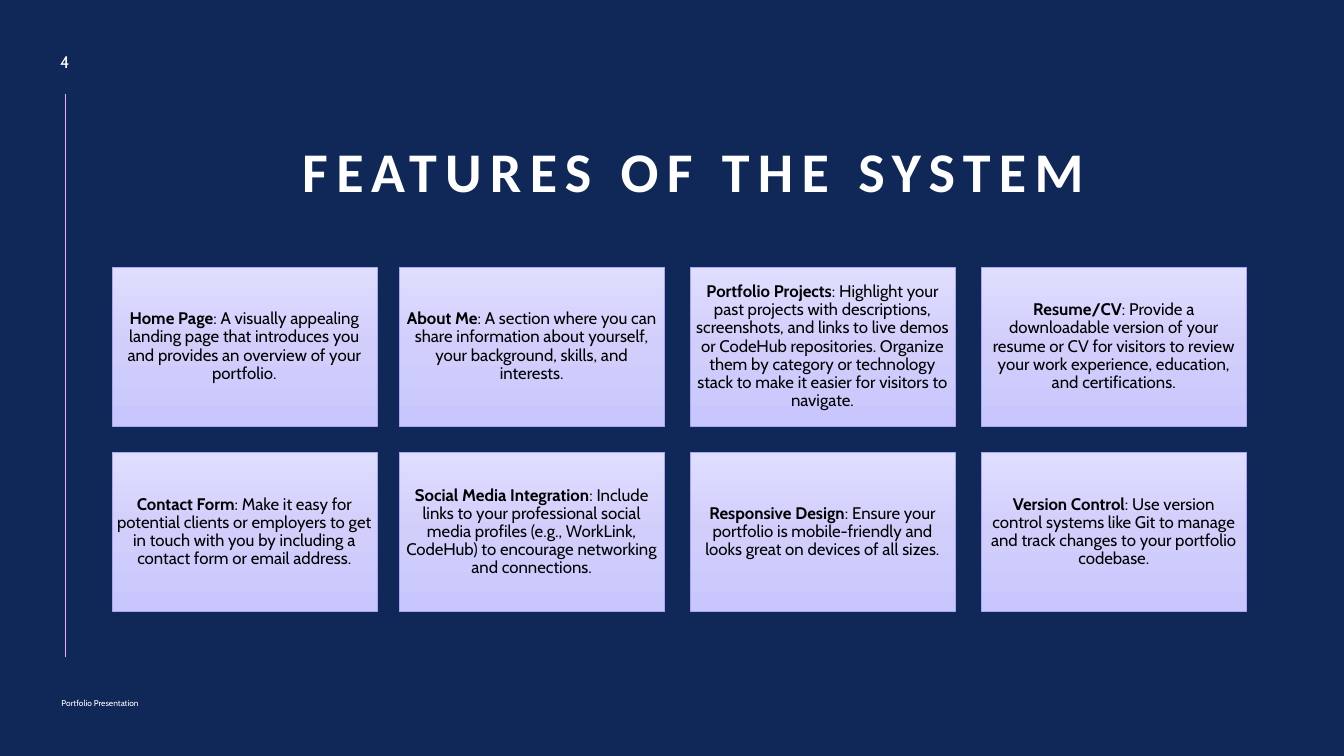
from copy import deepcopy
from dataclasses import dataclass
from itertools import product

from lxml.etree import SubElement
from pptx import Presentation
from pptx.dml.color import RGBColor
from pptx.enum.shapes import MSO_CONNECTOR, MSO_SHAPE
from pptx.enum.text import MSO_ANCHOR as Anchor, PP_ALIGN as Align
from pptx.oxml.ns import qn
from pptx.slide import Slide
from pptx.text.text import Font
from pptx.util import Cm, Pt

NAVY, WHITE, BLACK = "102857", "FFFFFF", "000000"
CARD_TOP, CARD_MIDDLE, CARD_BOTTOM = "DFDEFE", "D1CEFC", "C9C6FE"
CARD_BORDER, RULE = "AAA5F9", "F6A6F4"
BODY_FONT, TITLE_FONT = "Cabin", "Calibri"

COLUMN_LEFTS = (2.82, 10.06, 17.39, 24.73)
ROW_TOPS = (6.73, 11.4)
CARD_WIDTH, CARD_HEIGHT = 6.68, 4.01


@dataclass(frozen=True)
class Feature:
    name: str
    description: str


@dataclass(frozen=True)
class Label:
    text: str
    left: float
    top: float
    width: float
    height: float
    size: float
    align: Align
    anchor: Anchor


FEATURES = (
    Feature("Home Page", "A visually appealing landing page that introduces you "
            "and provides an overview of your portfolio."),
    Feature("About Me", "A section where you can share information about yourself, "
            "your background, skills, and interests."),
    Feature("Portfolio Projects", "Highlight your past projects with descriptions, "
            "screenshots, and links to live demos or CodeHub repositories. Organize "
            "them by category or technology stack to make it easier for visitors "
            "to navigate."),
    Feature("Resume/CV", "Provide a downloadable version of your resume or CV for "
            "visitors to review your work experience, education, and certifications."),
    Feature("Contact Form", "Make it easy for potential clients or employers to get "
            "in touch with you by including a contact form or email address."),
    Feature("Social Media Integration", "Include links to your professional social "
            "media profiles (e.g., WorkLink, CodeHub) to encourage networking and "
            "connections."),
    Feature("Responsive Design", "Ensure your portfolio is mobile-friendly and looks "
            "great on devices of all sizes."),
    Feature("Version Control", "Use version control systems like Git to manage and "
            "track changes to your portfolio codebase."),
)

LABELS = (
    Label("4", 0.91, 1.14, 1.45, 0.86, 12, Align.CENTER, Anchor.MIDDLE),
    Label("Portfolio Presentation", 1.3, 17.2, 6.48, 0.76, 6, Align.LEFT, Anchor.BOTTOM),
)


def rgb(hex_code: str) -> RGBColor:
    return RGBColor.from_string(hex_code)


def style(font: Font, name: str, size: float, color: str, bold: bool = False) -> None:
    font.name, font.size, font.bold = name, Pt(size), bold
    font.color.rgb = rgb(color)


def add_title(slide: Slide) -> None:
    title = slide.shapes.title
    title.left, title.top, title.width, title.height = Cm(2.36), Cm(2.31), Cm(30.23), Cm(2.97)
    frame = title.text_frame
    frame.text = "FEATURES OF THE SYSTEM"
    frame.vertical_anchor = Anchor.BOTTOM
    heading = frame.paragraphs[0]
    heading.alignment, heading.line_spacing = Align.CENTER, 0.9
    run = heading.runs[0]
    style(run.font, TITLE_FONT, 40, WHITE, bold=True)
    run._r.get_or_add_rPr().set("spc", "600")


def add_side_rule(slide: Slide) -> None:
    rule = slide.shapes.add_connector(
        MSO_CONNECTOR.STRAIGHT, Cm(1.65), Cm(2.36), Cm(1.65), Cm(16.56))
    rule.line.color.rgb = rgb(RULE)
    rule.line.width = Pt(0.5)
    SubElement(rule._element.spPr, qn("a:effectLst"))


def add_label(slide: Slide, label: Label) -> None:
    box = slide.shapes.add_textbox(
        Cm(label.left), Cm(label.top), Cm(label.width), Cm(label.height))
    frame = box.text_frame
    frame.word_wrap = True
    frame.vertical_anchor = label.anchor
    frame.text = label.text
    paragraph = frame.paragraphs[0]
    paragraph.alignment = label.align
    style(paragraph.runs[0].font, BODY_FONT, label.size, WHITE)


def add_card(slide: Slide, feature: Feature, left: float, top: float) -> None:
    card = slide.shapes.add_shape(
        MSO_SHAPE.RECTANGLE, Cm(left), Cm(top), Cm(CARD_WIDTH), Cm(CARD_HEIGHT))
    card.shadow.inherit = False
    card.line.color.rgb = rgb(CARD_BORDER)
    card.line.width = Pt(0.5)

    card.fill.gradient()
    card.fill.gradient_angle = 270
    stop_list = card._element.spPr.find(qn("a:gradFill")).find(qn("a:gsLst"))
    stop_list.insert(1, deepcopy(stop_list[0]))
    shades = (CARD_TOP, CARD_MIDDLE, CARD_BOTTOM)
    for stop, shade, position in zip(card.fill.gradient_stops, shades, (0, 0.5, 1)):
        stop.color.rgb = rgb(shade)
        stop.position = position

    frame = card.text_frame
    frame.word_wrap = True
    frame.vertical_anchor = Anchor.MIDDLE
    frame.margin_left = frame.margin_right = Cm(0.12)
    frame.margin_top = frame.margin_bottom = Cm(0.12)
    paragraph = frame.paragraphs[0]
    paragraph.alignment, paragraph.line_spacing = Align.CENTER, 0.9
    for text, bold in ((feature.name, True), (f": {feature.description}", False)):
        run = paragraph.add_run()
        run.text = text
        style(run.font, BODY_FONT, 12, BLACK, bold)


def main() -> None:
    deck = Presentation()
    deck.slide_width, deck.slide_height = Cm(33.87), Cm(19.05)
    slide = deck.slides.add_slide(deck.slide_layouts[5])
    slide.background.fill.solid()
    slide.background.fill.fore_color.rgb = rgb(NAVY)

    add_side_rule(slide)
    add_title(slide)
    for label in LABELS:
        add_label(slide, label)
    for feature, (top, left) in zip(FEATURES, product(ROW_TOPS, COLUMN_LEFTS)):
        add_card(slide, feature, left, top)
    deck.save("out.pptx")


if __name__ == "__main__":
    main()
